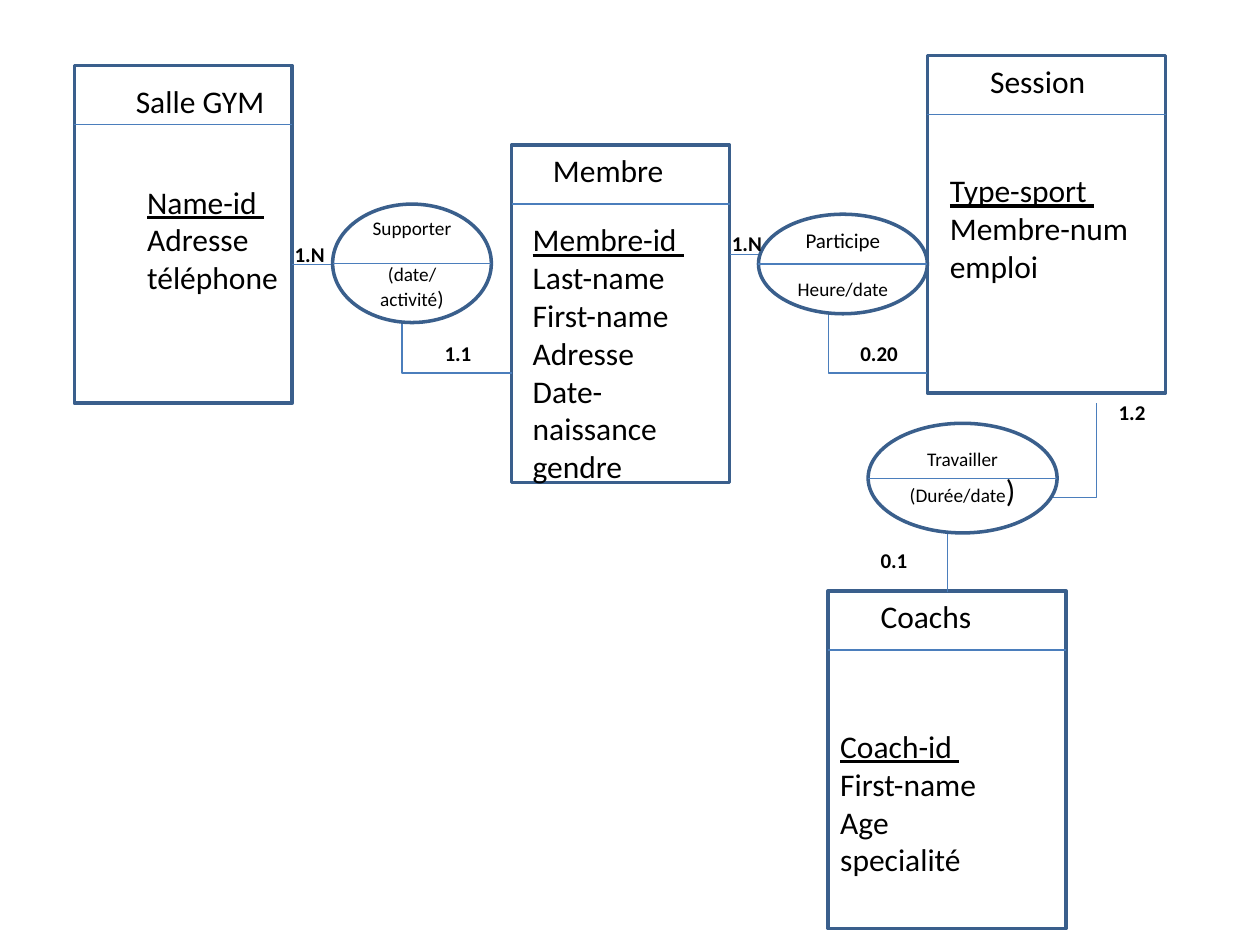
from pptx import Presentation
from pptx.dml.color import RGBColor
from pptx.enum import shapes, text
from pptx.oxml.ns import qn
from pptx.util import Inches, Pt
from lxml import etree

BORDER = RGBColor(0x3A, 0x5F, 0x8C)
LINK = RGBColor(0x4B, 0x7E, 0xBC)
BLACK = RGBColor(0, 0, 0)
WHITE = RGBColor(255, 255, 255)
HEADER_HEIGHT = 0.47
ENTITY_HEIGHT = 2.68

prs = Presentation()
prs.slide_width, prs.slide_height = Inches(10), Inches(7.5)
slide = prs.slides.add_slide(prs.slide_layouts[6])


def write(frame, rows, size=18, bold=False, underline_first=False,
          align=text.PP_ALIGN.LEFT, anchor=text.MSO_ANCHOR.TOP, wrap=True, gap=0):
    """Each row is a list of (text, size) runs or a plain string."""
    frame.word_wrap = wrap
    frame.vertical_anchor = anchor
    for i, row in enumerate(rows):
        para = frame.paragraphs[0] if i == 0 else frame.add_paragraph()
        para.alignment = align
        para.space_before = Pt(gap if i else 0)
        for words, run_size in [(row, size)] if isinstance(row, str) else row:
            run = para.add_run()
            run.text = words
            run.font.name = "Calibri"
            run.font.size = Pt(run_size)
            run.font.bold = bold
            run.font.underline = underline_first and i == 0
            run.font.color.rgb = BLACK


def connect(x1, y1, x2, y2, kind=shapes.MSO_CONNECTOR.STRAIGHT):
    link = slide.shapes.add_connector(kind, Inches(x1), Inches(y1), Inches(x2), Inches(y2))
    link.line.color.rgb = LINK
    link.line.width = Pt(0.75)
    etree.SubElement(link._element.spPr, qn("a:effectLst"))
    return link


# Entity frames with their header rules: left, top, width
entities = [(0.59, 0.52, 1.73), (4.06, 1.15, 1.73), (7.36, 0.44, 1.89), (6.57, 4.69, 1.89)]
for left, top, width in entities:
    entity = slide.shapes.add_shape(shapes.MSO_SHAPE.RECTANGLE, Inches(left), Inches(top),
                                    Inches(width), Inches(ENTITY_HEIGHT))
    entity.shadow.inherit = False
    entity.fill.background()
    entity.line.color.rgb = BORDER
    entity.line.width = Pt(2)
    connect(left, top + HEADER_HEIGHT, left + width, top + HEADER_HEIGHT)

# Links between entities, passing behind the associations
ELBOW = shapes.MSO_CONNECTOR.ELBOW
connect(2.32, 2.1, 4.06, 2.96, ELBOW)
connect(5.79, 2.02, 7.36, 2.96, ELBOW)
session_coachs = connect(7.36, 3.36, 8.86, 4.54, ELBOW)
session_coachs._element.spPr.find(qn("a:xfrm")).set("rot", "5400000")

# Associations: position, rows, size, gap between rows
associations = [
    (2.64, 1.62, 1.26, 0.94, ["Supporter", [("(date/activité", 11), (")", 12)]], 11, 13),
    (6.02, 1.7, 1.34, 0.79, [[("Participe", 12)], "Heure/date"], 11, 14.5),
    (6.89, 3.36, 1.5, 0.87, ["Travailler", [("(Durée/date", 11), (")", 18)]], 11, 0),
]
for left, top, width, height, rows, size, gap in associations:
    association = slide.shapes.add_shape(shapes.MSO_SHAPE.OVAL, Inches(left), Inches(top),
                                         Inches(width), Inches(height))
    association.shadow.inherit = False
    association.fill.solid()
    association.fill.fore_color.rgb = WHITE
    association.line.color.rgb = BORDER
    association.line.width = Pt(2)
    write(association.text_frame, rows, size=size, gap=gap,
          align=text.PP_ALIGN.CENTER, anchor=text.MSO_ANCHOR.MIDDLE)
    middle = top + height / 2
    connect(left, middle, left + width, middle)

# Entity names, attributes and cardinalities
names = dict(wrap=False)
attributes = dict(underline_first=True)
cardinality = dict(size=12, bold=True)
labels = [
    (0.98, 0.6, 1.23, 0.4, ["Salle GYM"], names),
    (4.29, 1.15, 1.09, 0.4, ["Membre"], names),
    (7.76, 0.44, 0.96, 0.4, ["Session"], names),
    (6.89, 4.69, 0.93, 0.4, ["Coachs"], names),
    (4.13, 1.7, 1.73, 2.22, ["Membre-id ", "Last-name", "First-name", "Adresse",
                             "Date-naissance", "gendre"], attributes),
    (1.07, 1.4, 1.34, 1.01, ["Name-id ", "Adresse", "téléphone"], attributes),
    (7.44, 1.31, 1.89, 1.01, ["Type-sport ", "Membre-num", "emploi"], attributes),
    (6.57, 5.72, 1.89, 1.31, ["Coach-id ", "First-name", "Age", "specialité"], attributes),
    (2.24, 1.87, 0.63, 0.3, ["1.N"], cardinality),
    (3.43, 2.65, 0.63, 0.3, ["1.1"], cardinality),
    (5.71, 1.78, 0.63, 0.3, ["1.N"], cardinality),
    (6.73, 2.65, 0.63, 0.3, ["0.20"], cardinality),
    (6.89, 4.3, 0.63, 0.3, ["0.1"], cardinality),
    (8.78, 3.12, 0.63, 0.3, ["1.2"], cardinality),
]
for left, top, width, height, rows, style in labels:
    label = slide.shapes.add_textbox(Inches(left), Inches(top), Inches(width), Inches(height))
    write(label.text_frame, rows, **style)

prs.save("out.pptx")
